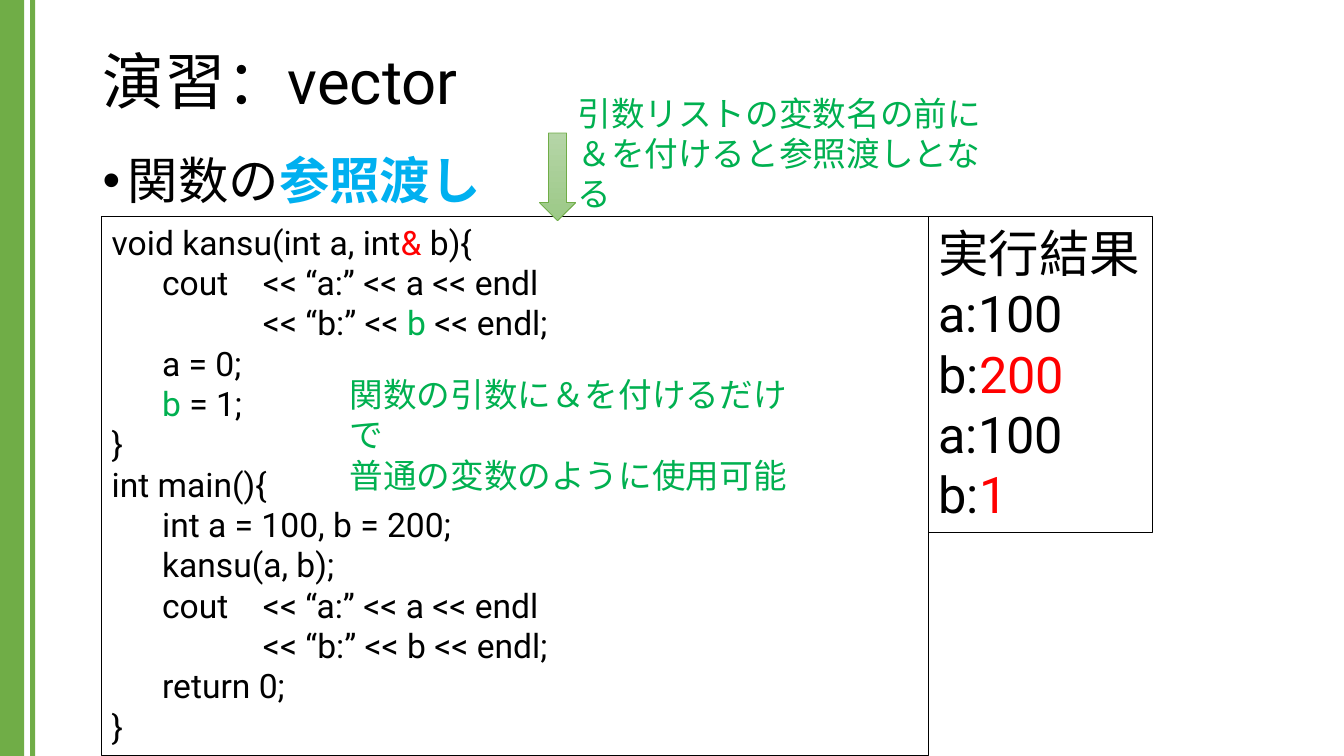
"""Build the slide on passing vectors by reference."""
from dataclasses import dataclass

import lxml.etree
import pptx
import pptx.dml.color
import pptx.enum.shapes
import pptx.enum.text
import pptx.oxml.ns
import pptx.util

Inches = pptx.util.Inches
COLORS = {
    "black": "000000", "red": "FF0000", "green": "00B050", "blue": "00B0F0",
    "band": "70AD47", "arrow_top": "B5D5A7", "arrow_bottom": "9CC987",
}
FONT = "Roboto"
TAB_STEP = 0.5


@dataclass(frozen=True)
class Span:
    """A stretch of text in one colour."""
    text: str
    color: str = "black"
    bold: bool = False


@dataclass(frozen=True)
class Panel:
    """A text box with its place, size and lines."""
    at: tuple[float, float, float, float]
    size: int
    lines: list[list[Span]]
    framed: bool = False
    wrap: bool = True
    tabs: int = 0
    bullet: str = ""


HEADING = [Span("演習：vector")]
BANDS = [(0, 0, 0.24, 7.5), (0.3, 0, 0.05, 7.5)]
PRINT_A = [Span("\tcout\t<< “a:” << a << endl")]
CODE = [
    [Span("void kansu(int a, int"), Span("&", "red"), Span(" b){")],
    PRINT_A,
    [Span("\t\t　\t<< “b:” << "), Span("b", "green"), Span(" << endl;")],
    [Span("\ta = 0;")],
    [Span("\t"), Span("b", "green"), Span(" = 1;")],
    [Span("}")],
    [Span("int main(){")],
    [Span("\tint a = 100, b = 200;")],
    [Span("\tkansu(a, b);")],
    PRINT_A,
    [Span("\t\t\t<< “b:” << b << endl;")],
    [Span("\treturn 0;")],
    [Span("}")],
]
RESULT = [
    [Span("実行結果")],
    [Span("a:100")],
    [Span("b:"), Span("200", "red")],
    [Span("a:100")],
    [Span("b:"), Span("1", "red")],
]
ARGUMENT_NOTE = [
    [Span("引数リストの変数名の前に", "green")],
    [Span("＆を付けると参照渡しとなる", "green")],
]
USAGE_NOTE = [
    [Span("関数の引数に＆を付けるだけで", "green")],
    [Span("普通の変数のように使用可能", "green")],
]
TOPIC = [[Span("関数の"), Span("参照渡し", "blue", True)]]
PANELS = [
    Panel((0.92, 1.5, 11.5, 5.45), 36, TOPIC, bullet="•"),
    Panel((1.01, 2.15, 8.2, 5.35), 24, CODE, framed=True, tabs=3),
    Panel((9.21, 2.15, 2.22, 3.13), 36, RESULT, framed=True, wrap=False),
]
NOTES = [
    Panel((5.63, 0.87, 4.43, 0.91), 24, ARGUMENT_NOTE),
    Panel((3.37, 3.66, 4.85, 0.91), 24, USAGE_NOTE),
]


def rgb(name: str) -> pptx.dml.color.RGBColor:
    """Look up a named colour."""
    return pptx.dml.color.RGBColor.from_string(COLORS[name])


def lengths(at: tuple[float, float, float, float]) -> list[pptx.util.Length]:
    """Turn inches into slide lengths."""
    return [Inches(value) for value in at]


def write_spans(para, spans: list[Span], size: int) -> None:
    """Fill a paragraph with coloured runs."""
    para.alignment = pptx.enum.text.PP_ALIGN.LEFT
    for span in spans:
        run = para.add_run()
        run.text = span.text
        run.font.name = FONT
        run.font.size = pptx.util.Pt(size)
        run.font.bold = span.bold
        run.font.color.rgb = rgb(span.color)


def add_bullet(para, mark: str) -> None:
    """Give a paragraph a hanging bullet."""
    para.line_spacing = 0.9
    properties = para._p.get_or_add_pPr()
    properties.set("marL", str(Inches(0.25)))
    properties.set("indent", str(Inches(-0.25)))
    font = lxml.etree.SubElement(properties, pptx.oxml.ns.qn("a:buFont"))
    font.set("typeface", "Arial")
    bullet = lxml.etree.SubElement(properties, pptx.oxml.ns.qn("a:buChar"))
    bullet.set("char", mark)


def add_tabs(para, count: int) -> None:
    """Set evenly spaced tab stops."""
    properties = para._p.get_or_add_pPr()
    stops = lxml.etree.SubElement(properties, pptx.oxml.ns.qn("a:tabLst"))
    for number in range(1, count + 1):
        stop = lxml.etree.SubElement(stops, pptx.oxml.ns.qn("a:tab"))
        stop.set("pos", str(Inches(TAB_STEP * number)))
        stop.set("algn", "l")


def add_panel(page, panel: Panel) -> None:
    """Draw one text box."""
    box = page.shapes.add_textbox(*lengths(panel.at))
    if panel.framed:
        box.line.color.rgb = rgb("black")
        box.line.width = pptx.util.Pt(0.75)
    frame = box.text_frame
    frame.word_wrap = panel.wrap
    for index, spans in enumerate(panel.lines):
        para = frame.add_paragraph() if index else frame.paragraphs[0]
        if panel.bullet:
            add_bullet(para, panel.bullet)
        if panel.tabs:
            add_tabs(para, panel.tabs)
        write_spans(para, spans, panel.size)


def add_title(page) -> None:
    """Place and write the title."""
    title = page.shapes.title
    title.left, title.top, title.width, title.height = lengths((0.92, 0.4, 11.5, 0.87))
    title.text_frame.vertical_anchor = pptx.enum.text.MSO_ANCHOR.MIDDLE
    para = title.text_frame.paragraphs[0]
    para.line_spacing = 0.9
    write_spans(para, HEADING, 44)


def add_band(page, at: tuple[float, float, float, float]) -> None:
    """Draw one green band on the left edge."""
    band = page.shapes.add_shape(pptx.enum.shapes.MSO_SHAPE.RECTANGLE, *lengths(at))
    band.shadow.inherit = False
    band.fill.solid()
    band.fill.fore_color.rgb = rgb("band")
    band.line.fill.background()


def add_arrow(page) -> None:
    """Draw the arrow pointing at the reference mark."""
    arrow = page.shapes.add_shape(
        pptx.enum.shapes.MSO_SHAPE.DOWN_ARROW, *lengths((5.35, 1.32, 0.36, 0.87)))
    arrow.shadow.inherit = False
    arrow.fill.gradient()
    arrow.fill.gradient_angle = 270
    for stop, name in zip(arrow.fill.gradient_stops, ("arrow_top", "arrow_bottom")):
        stop.color.rgb = rgb(name)
    arrow.line.color.rgb = rgb("band")
    arrow.line.width = pptx.util.Pt(0.5)


def main() -> None:
    """Build and save the deck."""
    deck = pptx.Presentation()
    deck.slide_width, deck.slide_height = Inches(13.33), Inches(7.5)
    page = deck.slides.add_slide(deck.slide_layouts.get_by_name("Title Only"))
    for at in BANDS:
        add_band(page, at)
    add_title(page)
    for panel in PANELS:
        add_panel(page, panel)
    add_arrow(page)
    for note in NOTES:
        add_panel(page, note)
    deck.save("out.pptx")


if __name__ == "__main__":
    main()
